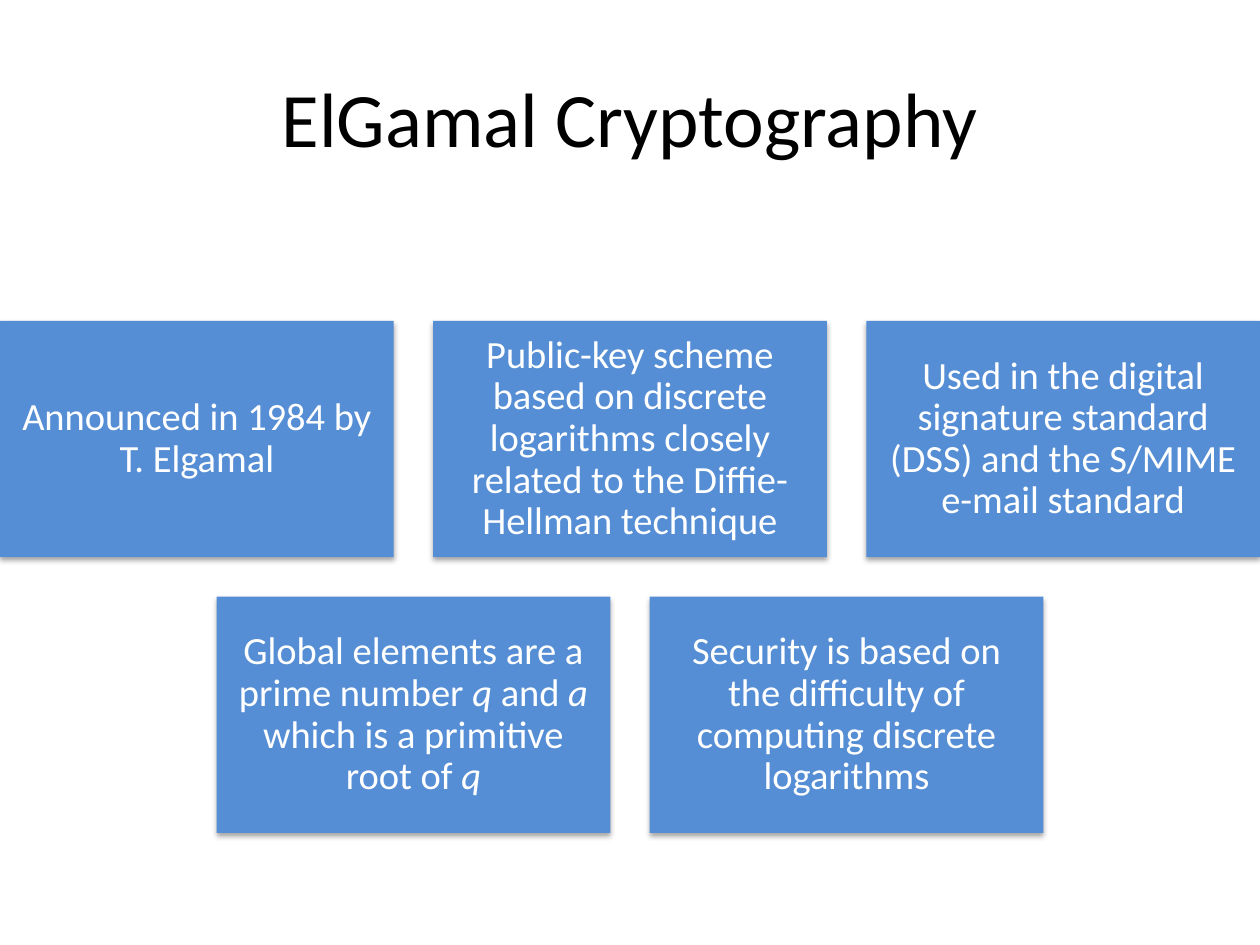
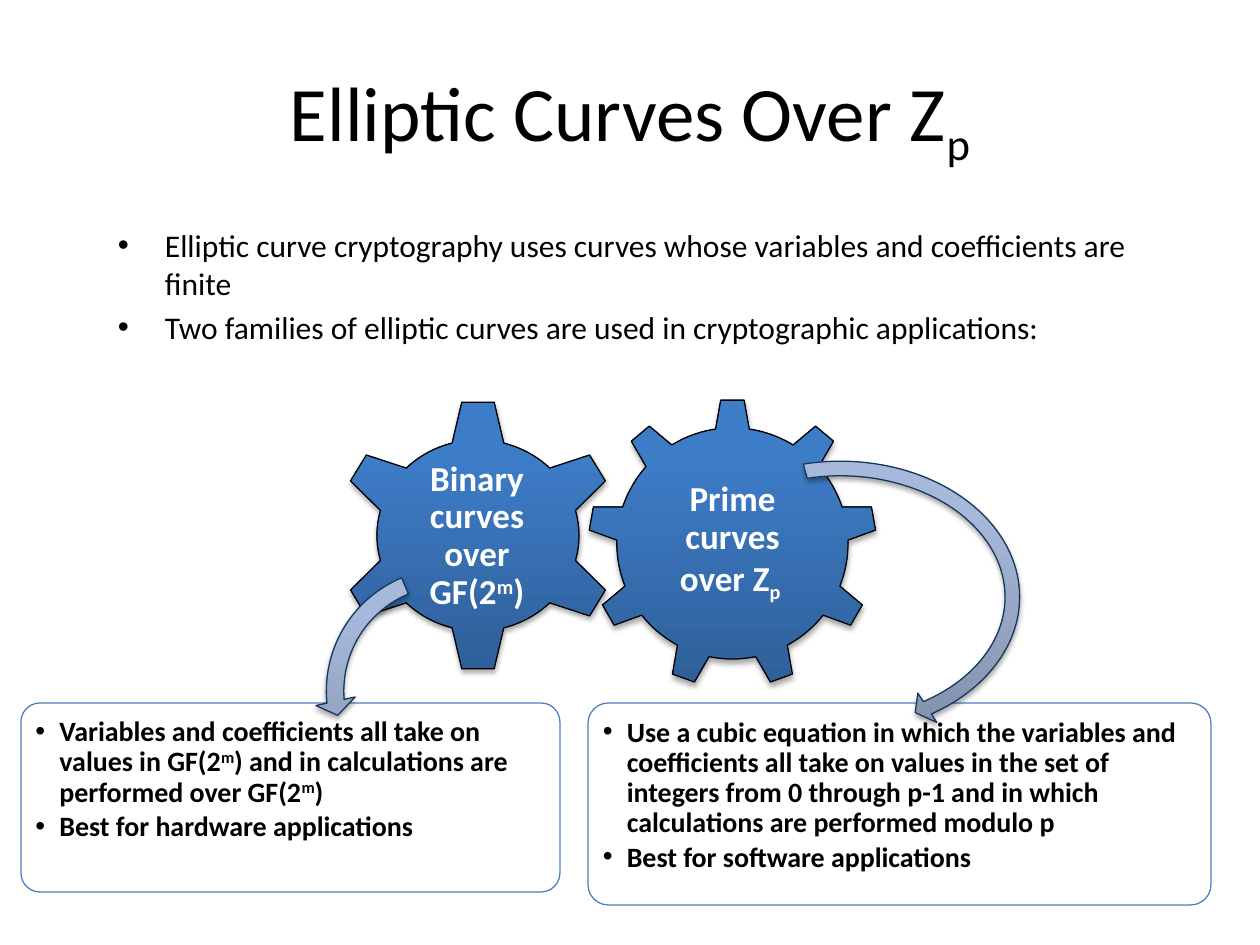
from lxml import etree
from pptx import Presentation
from pptx.dml.color import RGBColor
from pptx.enum.shapes import MSO_SHAPE
from pptx.enum.text import MSO_ANCHOR, PP_ALIGN
from pptx.oxml.ns import qn
from pptx.util import Emu, Pt

RECTANGLE = MSO_SHAPE.RECTANGLE
ROUNDED = MSO_SHAPE.ROUNDED_RECTANGLE
GEAR_6, GEAR_9 = MSO_SHAPE.GEAR_6, MSO_SHAPE.GEAR_9
ARROW_RIGHT = MSO_SHAPE.CIRCULAR_ARROW
ARROW_LEFT = MSO_SHAPE.LEFT_CIRCULAR_ARROW
CENTER, LEFT = PP_ALIGN.CENTER, PP_ALIGN.LEFT
MIDDLE, TOP = MSO_ANCHOR.MIDDLE, MSO_ANCHOR.TOP

BLACK = RGBColor(0x00, 0x00, 0x00)
WHITE = RGBColor(0xFF, 0xFF, 0xFF)
CARD_BLUE = RGBColor(0x55, 0x8E, 0xD5)
PANEL_LINE = RGBColor(0x4F, 0x81, 0xBD)
ARROW_LINE = RGBColor(0x17, 0x37, 0x5E)
GEAR_SHADES = (RGBColor(0x2F, 0x5F, 0x99), RGBColor(0x3D, 0x7C, 0xC7))
ARROW_SHADES = (RGBColor(0x81, 0x8F, 0xA8), RGBColor(0xA7, 0xB9, 0xDA))

FONT = "Calibri"
SLIDE_SIZE = (1260, 945)
TITLE_BOX = (63, 38, 1134, 158)
ITALIC, SUB, SUPER = "italic", "sub", "super"
BASELINES = {SUB: "-25000", SUPER: "30000"}


def px(length):
    """Turn pixels (126 to the inch) into EMU."""
    return Emu(round(length * 914400 / 126))


def write(shape, paragraphs, size, color, bold=False, align=CENTER, anchor=MIDDLE,
          insets=(13, 6), line_spacing=None, before=0, after=0, bullet_indent=0):
    """Fill a shape with paragraphs; a run is a string or a (string, style) pair."""
    frame = shape.text_frame
    frame.word_wrap = True
    frame.vertical_anchor = anchor
    frame.margin_left = frame.margin_right = px(insets[0])
    frame.margin_top = frame.margin_bottom = px(insets[1])
    for index, runs in enumerate(paragraphs):
        paragraph = frame.add_paragraph() if index else frame.paragraphs[0]
        paragraph.alignment = align
        paragraph.line_spacing = line_spacing
        paragraph.space_before, paragraph.space_after = Pt(before), Pt(after)
        if bullet_indent:
            properties = paragraph._p.get_or_add_pPr()
            properties.set("marL", str(px(bullet_indent)))
            properties.set("indent", str(-px(bullet_indent)))
            etree.SubElement(properties, qn("a:buFont"), typeface="Arial")
            etree.SubElement(properties, qn("a:buChar"), char="•")
        for part in runs:
            text, style = (part, None) if isinstance(part, str) else part
            run = paragraph.add_run()
            run.text = text
            run.font.name, run.font.size = FONT, Pt(size)
            run.font.bold, run.font.italic = bold, style == ITALIC
            run.font.color.rgb = color
            if style in BASELINES:
                run._r.get_or_add_rPr().set("baseline", BASELINES[style])


def add_text(slide, box, paragraphs, size, color, **options):
    """Add a text box."""
    shape = slide.shapes.add_textbox(*map(px, box))
    write(shape, paragraphs, size, color, **options)


def add_preset(slide, kind, box, fill, line=None, adjustments=(), shadow=True):
    """Add a preset shape; a pair of colours as fill runs from bottom to top."""
    shape = slide.shapes.add_shape(kind, *map(px, box))
    for index, value in enumerate(adjustments):
        shape.adjustments[index] = value
    if isinstance(fill, RGBColor):
        shape.fill.solid()
        shape.fill.fore_color.rgb = fill
    else:
        shape.fill.gradient()
        shape.fill.gradient_angle = 90
        for stop, color, position in zip(shape.fill.gradient_stops, fill, (0, 0.8)):
            stop.color.rgb, stop.position = color, position
    if line is None:
        shape.line.fill.background()
    else:
        shape.line.color.rgb = line
        shape.line.width = Pt(0.75)
    shape.shadow.inherit = False
    if shadow:
        effects = shape._element.spPr.find(qn("a:effectLst"))
        outer = etree.SubElement(effects, qn("a:outerShdw"), blurRad=str(Pt(3.1)),
                                 dist=str(Pt(1.8)), dir="5400000", rotWithShape="0")
        color = etree.SubElement(outer, qn("a:srgbClr"), val=str(BLACK))
        etree.SubElement(color, qn("a:alpha"), val="35000")
    return shape


def add_titled_slide(presentation, title):
    """Add a blank slide with the shared title style."""
    slide = presentation.slides.add_slide(presentation.slide_layouts[6])
    add_text(slide, TITLE_BOX, [title], 44, BLACK)
    return slide


def add_card_grid(slide, box, cards, columns, gap):
    """Place equal cards in centred rows within the box."""
    left, top, width, height = box
    rows = [cards[i:i + columns] for i in range(0, len(cards), columns)]
    card_width = (width - gap * (columns - 1)) / columns
    card_height = (height - gap * (len(rows) - 1)) / len(rows)
    for row_index, row in enumerate(rows):
        row_width = len(row) * (card_width + gap) - gap
        y = top + row_index * (card_height + gap)
        for column, runs in enumerate(row):
            x = left + (width - row_width) / 2 + column * (card_width + gap)
            card = add_preset(slide, RECTANGLE, (x, y, card_width, card_height), CARD_BLUE)
            write(card, [runs], 22, WHITE, insets=(12, 12), line_spacing=0.9)


def add_gear(slide, kind, box, label_box, runs):
    """Add a gear; its label box is given relative to the gear."""
    add_preset(slide, kind, box, GEAR_SHADES, BLACK)
    x, y, width, height = label_box
    add_text(slide, (box[0] + x, box[1] + y, width, height), [runs], 20, WHITE,
             bold=True, insets=(4, 4), line_spacing=0.9)


def add_panel(slide, box, paragraphs):
    """Add an outlined, slightly transparent panel with bullets."""
    panel = add_preset(slide, ROUNDED, box, WHITE, PANEL_LINE, (0.1,), shadow=False)
    color = panel._element.spPr.find(qn("a:solidFill"))[0]
    etree.SubElement(color, qn("a:alpha"), val="90000")
    write(panel, paragraphs, 16, BLACK, bold=True, align=LEFT, anchor=TOP,
          insets=(9, 9), line_spacing=0.9, after=2.4, bullet_indent=24)


def build_elgamal(presentation):
    """Slide of five cards about ElGamal."""
    slide = add_titled_slide(presentation, ["ElGamal Cryptography"])
    cards = [
        ["Announced in 1984 by T. Elgamal"],
        ["Public-key scheme based on discrete logarithms closely related to the "
         "Diffie-Hellman technique"],
        ["Used in the digital signature standard (DSS) and the S/MIME e-mail standard"],
        ["Global elements are a prime number ", ("q ", ITALIC), "and ", ("a", ITALIC),
         " which is a primitive root of ", ("q", ITALIC)],
        ["Security is based on the difficulty of computing discrete logarithms"],
    ]
    add_card_grid(slide, (0, 321, 1260, 512), cards, columns=3, gap=39.4)


def build_curves(presentation):
    """Slide of two gears, each with an arrow to its panel."""
    slide = add_titled_slide(presentation, ["Elliptic Curves Over Z", ("p", SUB)])
    add_text(slide, (105, 220, 1043, 188), [
        ["Elliptic curve cryptography uses curves whose variables and coefficients "
         "are finite"],
        ["Two families of elliptic curves are used in cryptographic applications:"],
    ], 18, BLACK, align=LEFT, anchor=TOP, before=3.6, bullet_indent=47)

    add_gear(slide, GEAR_9, (588, 399, 289, 289), (58, 67, 173, 149),
             ["Prime curves over Z", ("p ", SUB)])
    add_panel(slide, (588, 703, 623, 202), [
        ["Use a cubic equation in which the variables and coefficients all take on "
         "values in the set of integers from 0 through p-1 and in which calculations "
         "are performed modulo p"],
        ["Best for software applications"],
    ])
    add_gear(slide, GEAR_6, (336, 399, 284, 273), (70, 70, 142, 135),
             ["Binary curves over GF(2", ("m", SUPER), ")"])
    add_panel(slide, (21, 703, 539, 189), [
        ["Variables and coefficients all take on values in GF(2", ("m", SUPER),
         ") and in calculations are performed over GF(2", ("m", SUPER), ")"],
        ["Best for hardware applications"],
    ])
    add_preset(slide, ARROW_RIGHT, (651, 451, 379, 292), ARROW_SHADES, ARROW_LINE,
               (0.05, 3.13, 31.13, 152.63, 0.06))
    add_preset(slide, ARROW_LEFT, (315, 557, 268, 268), ARROW_SHADES, ARROW_LINE,
               (0.065, 4.3, 104.89, 148.38, 0.075))


presentation = Presentation()
presentation.slide_width, presentation.slide_height = map(px, SLIDE_SIZE)
build_elgamal(presentation)
build_curves(presentation)
presentation.save("out.pptx")
